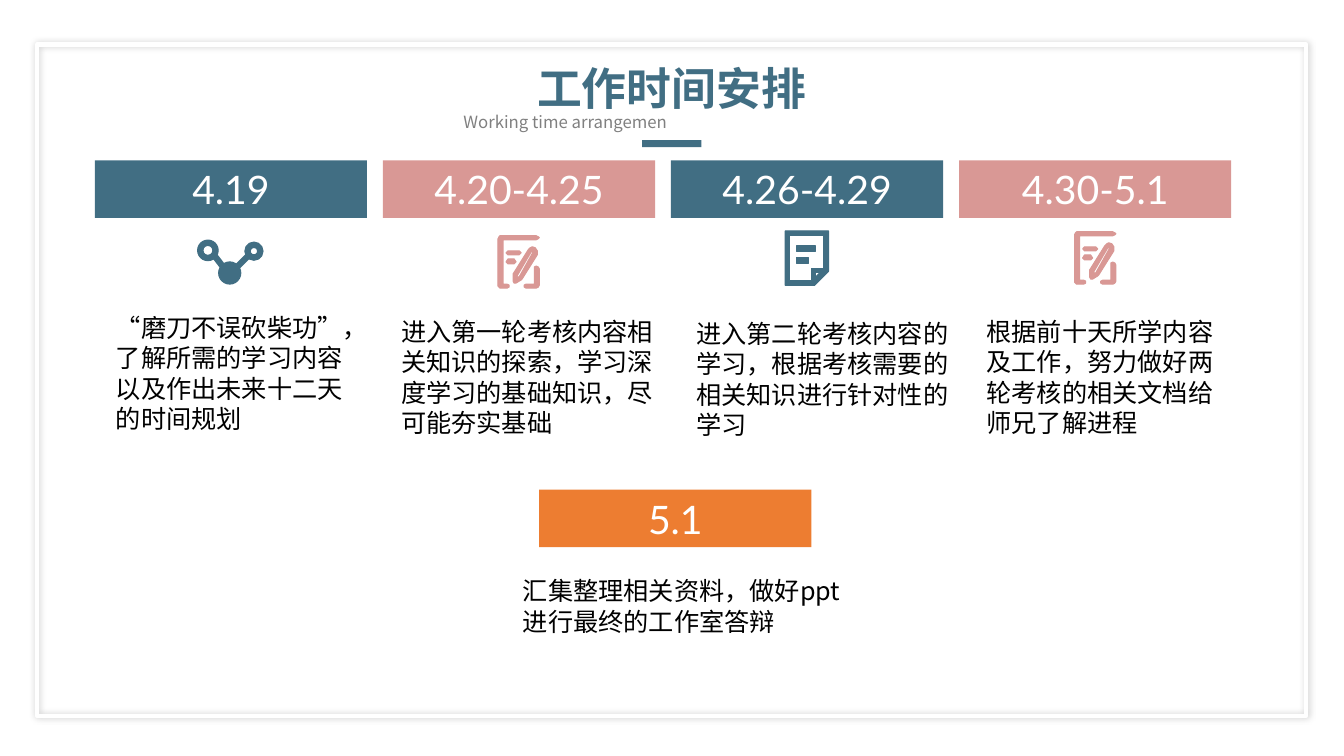
from lxml.etree import SubElement
from pptx import Presentation
from pptx.dml.color import RGBColor
from pptx.enum.shapes import MSO_CONNECTOR, MSO_SHAPE as SHAPE
from pptx.enum.text import MSO_ANCHOR as ANCHOR, MSO_AUTO_SIZE as AUTO, PP_ALIGN as ALIGN
from pptx.oxml.ns import qn
from pptx.util import Cm, Pt

TEAL, PINK, ORANGE, WHITE = "416E83", "D99895", "ED7D31", "FFFFFF"
SANS = "Noto Sans CJK SC"


def paint(sp, fill=None, line=None, width=0.75):
    sp.shadow.inherit = False
    if fill:
        sp.fill.solid()
        sp.fill.fore_color.rgb = RGBColor.from_string(fill)
    else:
        sp.fill.background()
    if line:
        sp.line.color.rgb = RGBColor.from_string(line)
        sp.line.width = Pt(width)
    else:
        sp.line.fill.background()


def write(sp, text, size=18, color="000000", font=SANS, bold=False,
          align=None, anchor=ANCHOR.TOP, wrap=True, fit=AUTO.SHAPE_TO_FIT_TEXT):
    tf = sp.text_frame
    tf.word_wrap, tf.auto_size, tf.vertical_anchor = wrap, fit, anchor
    for i, line in enumerate(text.split("\n")):
        p = tf.add_paragraph() if i else tf.paragraphs[0]
        p.alignment = align
        r = p.add_run()
        r.text = line
        r.font.size, r.font.bold, r.font.name = Pt(size), bold, font
        r.font.color.rgb = RGBColor.from_string(color)
        SubElement(r._r.get_or_add_rPr(), qn("a:ea")).set("typeface", font)


prs = Presentation()
prs.slide_width, prs.slide_height = Cm(33.87), Cm(19.05)
s = prs.slides.add_slide(prs.slide_layouts[6])
shapes = s.shapes

# Card frame with a soft shadow
card = shapes.add_shape(SHAPE.RECTANGLE, Cm(0.94), Cm(1.12), Cm(31.98), Cm(16.92))
paint(card, line=WHITE, width=3)
shadow = SubElement(card._element.spPr.find(qn("a:effectLst")), qn("a:outerShdw"),
                    blurRad=str(Pt(5)), dist="0", dir="0", algn="ctr", rotWithShape="0")
black = SubElement(shadow, qn("a:srgbClr"), val="000000")
SubElement(black, qn("a:alpha"), val="21000")

# Title, subtitle and accent bar
title = shapes.add_textbox(Cm(13.28), Cm(1.4), Cm(7.29), Cm(1.63))
write(title, "工作时间安排", size=32, color=TEAL, bold=True, align=ALIGN.CENTER, wrap=False)
subtitle = shapes.add_textbox(Cm(11.43), Cm(2.69), Cm(11.02), Cm(0.76))
write(subtitle, "Working time arrangemen", size=12, color="808080", align=ALIGN.JUSTIFY)
accent = shapes.add_shape(SHAPE.RECTANGLE, Cm(16.18), Cm(3.53), Cm(1.5), Cm(0.18))
paint(accent, TEAL)

# Date banners: four in a row, the final one below
dates = ["4.19", "4.20-4.25", "4.26-4.29", "4.30-5.1"]
banners = [(2.39 + 7.26 * i, 4.04, (TEAL, PINK)[i % 2], date) for i, date in enumerate(dates)]
banners.append((13.59, 12.34, ORANGE, "5.1"))
for x, y, color, date in banners:
    sp = shapes.add_shape(SHAPE.RECTANGLE, Cm(x), Cm(y), Cm(6.86), Cm(1.45))
    paint(sp, color)
    write(sp, date, size=28, color=WHITE, font="Lato", align=ALIGN.CENTER,
          anchor=ANCHOR.MIDDLE, fit=AUTO.NONE)

# Linked nodes icon: two rings joined to a disc
for x1, x2 in [(5.41, 5.61), (6.25, 5.99)]:
    link = shapes.add_connector(MSO_CONNECTOR.STRAIGHT, Cm(x1), Cm(6.45), Cm(x2), Cm(6.71))
    link.line.color.rgb = RGBColor.from_string(TEAL)
    link.line.width = Pt(4.5)
    SubElement(link._element.spPr, qn("a:effectLst"))
nodes = [(SHAPE.DONUT, 4.98, 6.05, 0.52, 0.26), (SHAPE.DONUT, 6.17, 6.1, 0.46, 0.3),
         (SHAPE.OVAL, 5.51, 6.6, 0.56, None)]
for kind, x, y, size, ring in nodes:
    sp = shapes.add_shape(kind, Cm(x), Cm(y), Cm(size), Cm(size))
    if ring:
        sp.adjustments[0] = ring
    paint(sp, TEAL, TEAL)

# Icon outlines, in hundredths of an inch from the icon's corner
sheet = [
    [[(0, 0), (0, 54), (29, 54), (43, 40), (43, 0)],
     [(4, 5), (38, 5), (38, 37), (26, 37), (26, 49), (4, 49)],
     [(35, 41), (30, 46), (30, 41)]],
]
pencil_note = [
    [[(9, 48), (5, 48), (5, 4), (38, 4), (40, 3), (41, 2), (40, 1), (38, 0), (2, 0), (1, 1),
      (0, 3), (0, 50), (1, 51), (2, 52), (9, 52), (11, 51), (11, 49)]],
    [[(38, 30), (36, 31), (36, 48), (28, 48), (26, 49), (26, 51), (28, 52), (38, 52),
      (40, 51), (41, 49), (41, 33), (40, 31)]],
    [[(37, 12), (34, 11), (32, 12), (30, 14), (15, 38), (15, 45), (16, 47), (18, 47),
      (23, 44), (24, 43), (39, 19), (39, 15)],
     [(35, 16), (21, 41), (19, 41), (19, 40), (33, 16), (34, 15.5)]],
    [[(23, 17), (21, 15), (10, 15), (8, 17), (10, 19), (21, 19)]],
    [[(10, 23), (8, 25.5), (10, 28), (16, 28), (18, 25.5), (16, 23)]],
]
icons = [(12.55, 5.94, PINK, pencil_note), (19.79, 5.82, TEAL, sheet),
         (27.08, 5.84, PINK, pencil_note)]
for x, y, color, parts in icons:
    for contours in parts:
        fb = shapes.build_freeform(*contours[0][0], scale=Cm(2.54) / 100)
        fb.add_line_segments(contours[0][1:])
        for hole in contours[1:]:
            fb.move_to(*hole[0])
            fb.add_line_segments(hole[1:])
        paint(fb.convert_to_shape(Cm(x), Cm(y)), color, color)

# Text lines on the sheet icon
for y, width in [(6.2, 0.48), (6.5, 0.3)]:
    sp = shapes.add_shape(SHAPE.RECTANGLE, Cm(20.07), Cm(y), Cm(width), Cm(0.13))
    paint(sp, TEAL, TEAL)

# Descriptions under the banners
descriptions = [
    (2.67, 7.75, 6.55, 3.33, "“磨刀不误砍柴功”，了解所需的学习内容以及作出未来十二天的时间规划"),
    (9.86, 7.85, 7.21, 3.33, "进入第一轮考核内容相关知识的探索，学习深度学习的基础知识，尽可能夯实基础"),
    (17.3, 7.9, 7.09, 3.33, "进入第二轮考核内容的学习，根据考核需要的相关知识进行针对性的学习"),
    (24.61, 7.85, 6.58, 3.33, "根据前十天所学内容及工作，努力做好两轮考核的相关文档给师兄了解进程"),
    (12.93, 14.38, 8.51, 1.8, "汇集整理相关资料，做好ppt\n进行最终的工作室答辩"),
]
for x, y, w, h, text in descriptions:
    write(shapes.add_textbox(Cm(x), Cm(y), Cm(w), Cm(h)), text)

prs.save("out.pptx")
